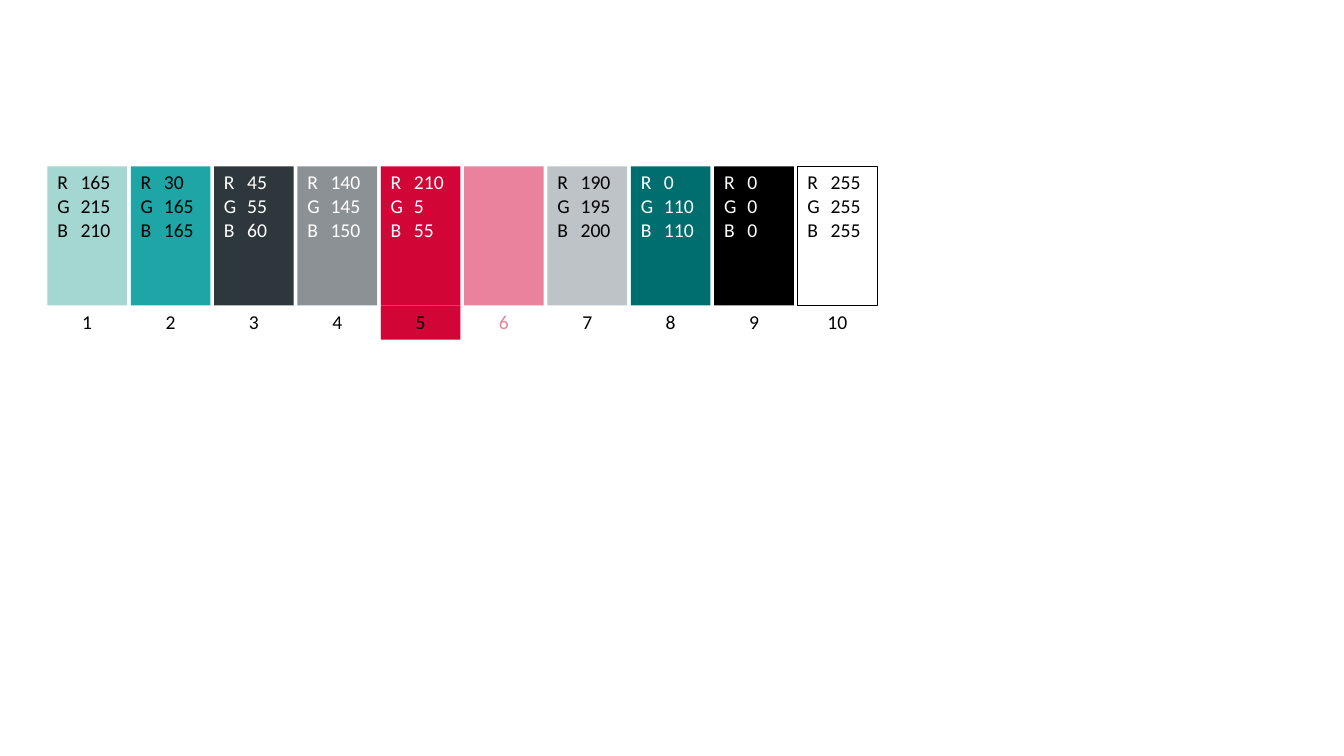
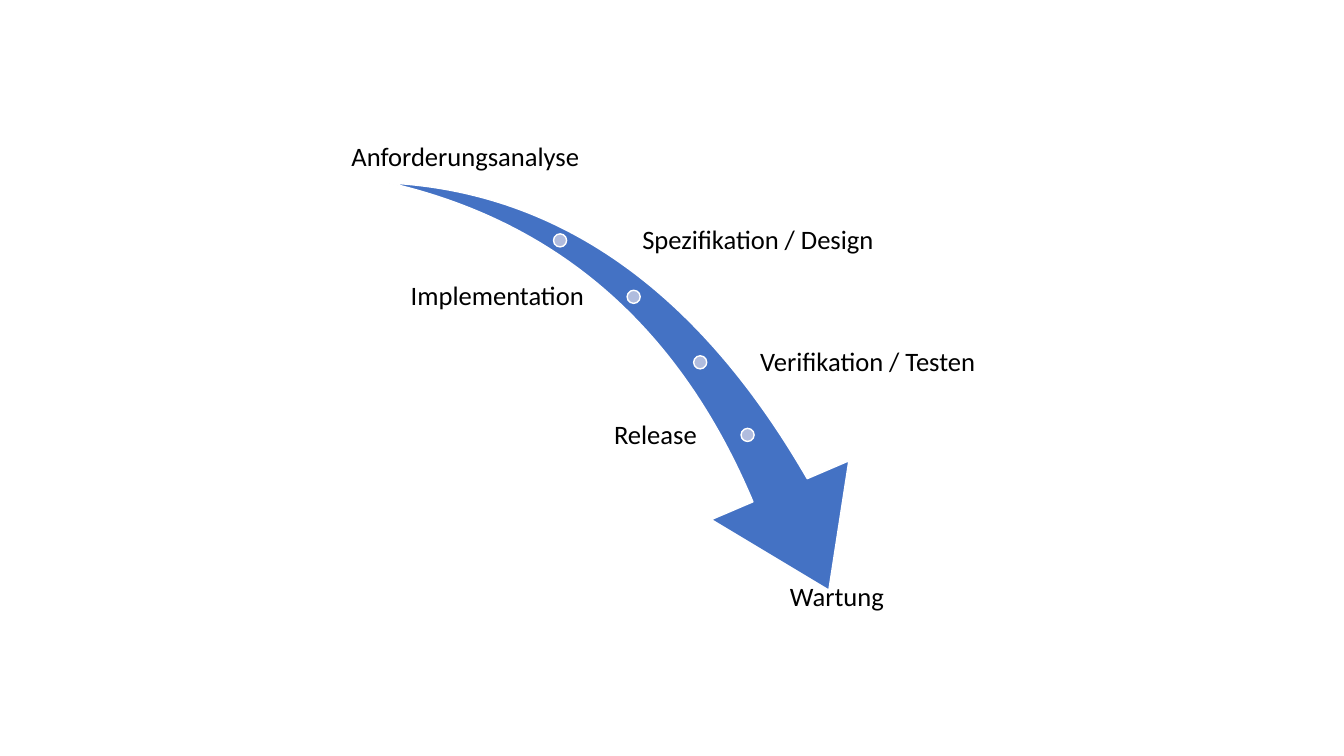
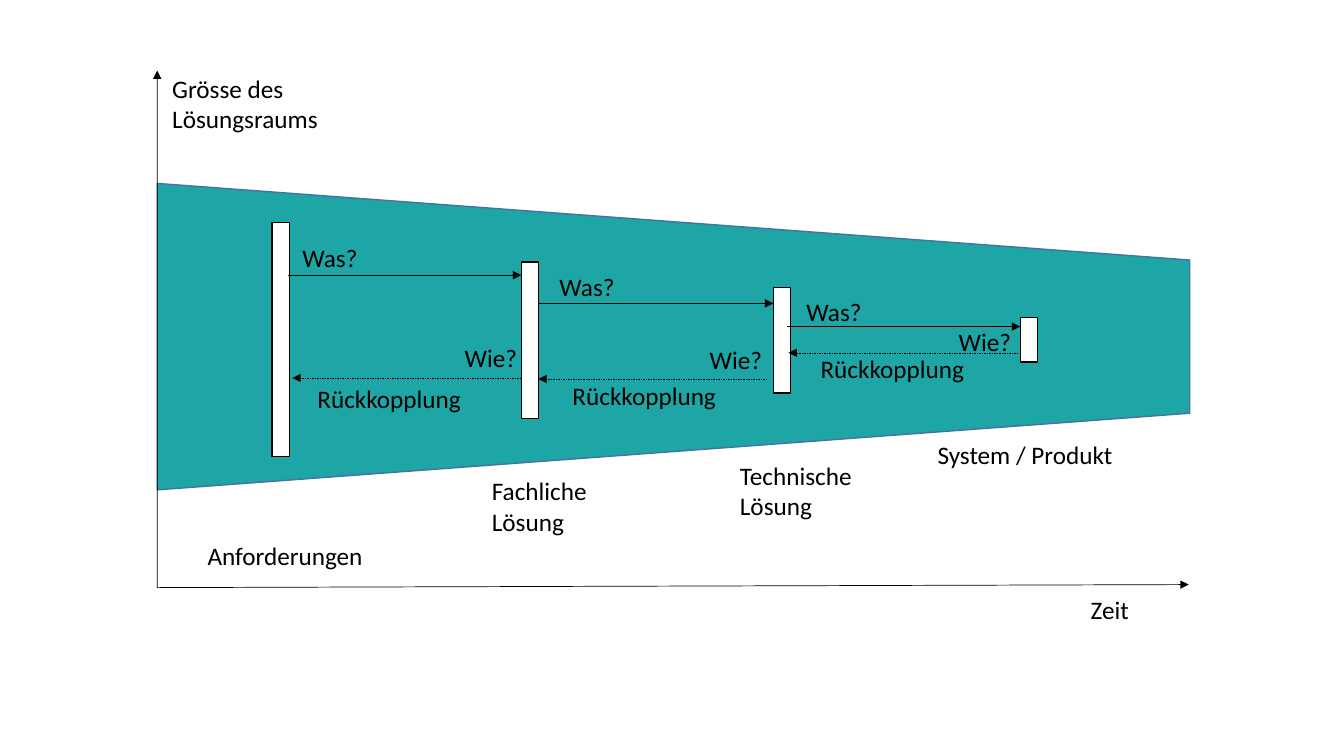
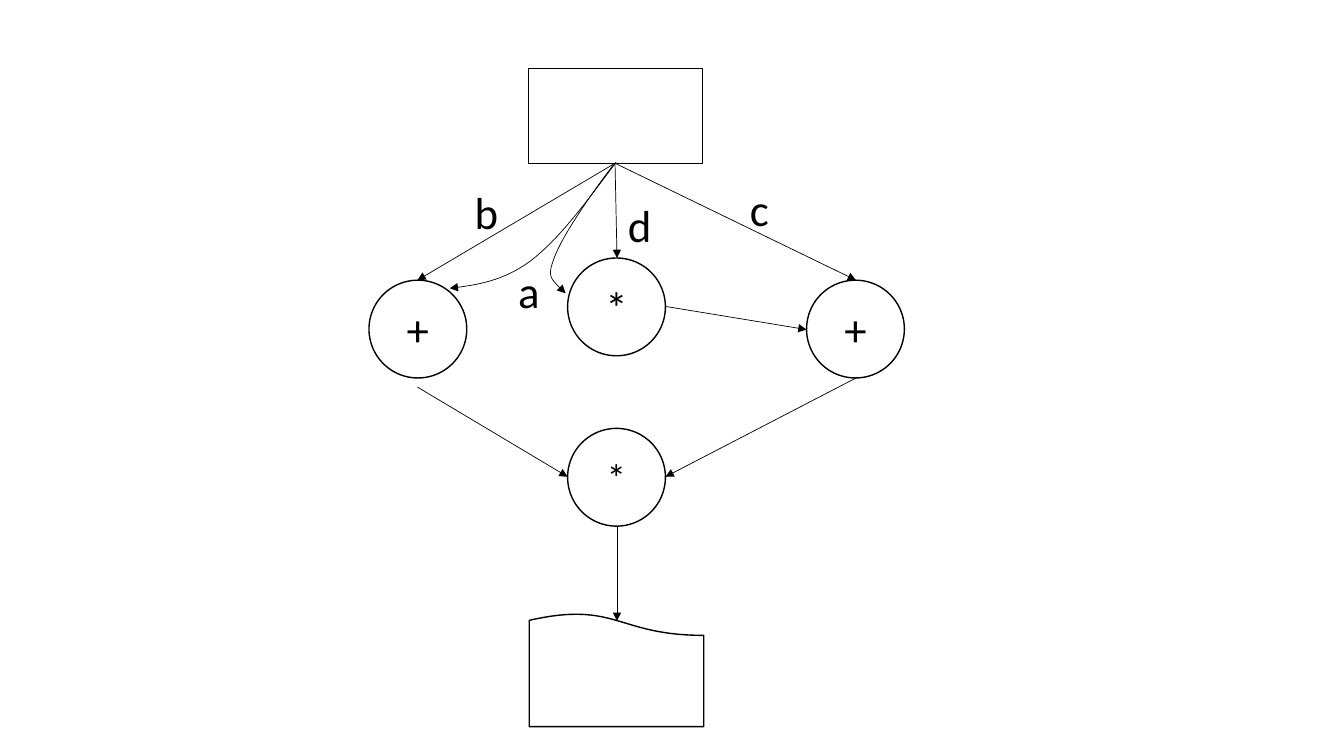
from lxml.etree import SubElement
from pptx import Presentation
from pptx.dml.color import RGBColor
from pptx.enum.dml import MSO_LINE
from pptx.enum.shapes import MSO_CONNECTOR, MSO_SHAPE
from pptx.enum.text import MSO_ANCHOR, PP_ALIGN
from pptx.oxml.ns import qn
from pptx.util import Inches, Pt

FONT = "Calibri"
BLACK, WHITE = "000000", "FFFFFF"
TEAL, RED, PINK = "1EA5A5", "D20537", "EB829B"
BLUE, PALE_BLUE, TRAPEZOID_EDGE = "4472C4", "B0BCDE", "43739E"


def rgb(value):
    return RGBColor.from_string(value)


def set_all(target, values):
    for name, value in values.items():
        setattr(target, name, value)


def inches(values):
    return [Inches(value) for value in values]


def paint(shape, fill=None, edge=None, width=1):
    """Set fill and line; None means there is none."""
    shape.shadow.inherit = False
    if fill:
        shape.fill.solid()
        shape.fill.fore_color.rgb = rgb(fill)
    else:
        shape.fill.background()
    if edge:
        shape.line.color.rgb = rgb(edge)
        shape.line.width = Pt(width)
    else:
        shape.line.fill.background()


def add_figure(page, kind, box, fill=None, edge=None, width=1):
    shape = page.shapes.add_shape(kind, *inches(box))
    paint(shape, fill, edge, width)
    return shape


def write(shape, text, size, color=BLACK, align=PP_ALIGN.LEFT, anchor=MSO_ANCHOR.TOP,
          insets=(0.1, 0.05, 0.1, 0.05), spacing=None, tab=None):
    """Fill a shape with text, one paragraph a line."""
    frame = shape.text_frame
    left, top, right, bottom = inches(insets)
    set_all(frame, {"word_wrap": True, "vertical_anchor": anchor, "margin_left": left,
                    "margin_top": top, "margin_right": right, "margin_bottom": bottom})
    for index, line in enumerate(text.split("\n")):
        para = frame.add_paragraph() if index else frame.paragraphs[0]
        set_all(para, {"alignment": align, "line_spacing": spacing})
        if tab:
            stops = SubElement(para._p.get_or_add_pPr(), qn("a:tabLst"))
            SubElement(stops, qn("a:tab"), pos=str(Inches(tab)), algn="l")
        span = para.add_run()
        span.text = line
        set_all(span.font, {"name": FONT, "size": Pt(size)})
        span.font.color.rgb = rgb(color)


def add_label(page, box, text, size, **layout):
    write(page.shapes.add_textbox(*inches(box)), text, size, **layout)


def add_arrowheads(shape, ends=("tailEnd",)):
    for end in ends:
        SubElement(shape.line._get_or_add_ln(), qn(f"a:{end}"), type="triangle")


def add_arrow(page, start, end, width, dash=None):
    arrow = page.shapes.add_connector(MSO_CONNECTOR.STRAIGHT, *inches(start + end))
    set_all(arrow.line, {"width": Pt(width), "dash_style": dash})
    arrow.line.color.rgb = rgb(BLACK)
    SubElement(arrow._element.spPr, qn("a:effectLst"))
    add_arrowheads(arrow)


def add_path_arrow(page, points, ends=("tailEnd",)):
    start, *rest = [tuple(inches(point)) for point in points]
    builder = page.shapes.build_freeform(*start)
    builder.add_line_segments(rest, close=False)
    shape = builder.convert_to_shape()
    paint(shape, edge=BLACK, width=0.5)
    add_arrowheads(shape, ends)


def curve(points, steps=16):
    """Sample a chain of cubic Bezier curves given as anchor, control, control, anchor, ..."""
    samples = [points[0]]
    for first in range(0, len(points) - 1, 3):
        quad = points[first:first + 4]
        for step in range(1, steps + 1):
            t = step / steps
            weights = ((1 - t) ** 3, 3 * t * (1 - t) ** 2, 3 * t * t * (1 - t), t ** 3)
            samples.append(tuple(sum(w * point[axis] for w, point in zip(weights, quad))
                                 for axis in (0, 1)))
    return samples


def build_palette(page):
    swatches = [("A5D7D2", BLACK), (TEAL, BLACK), ("2D373C", WHITE), ("8C9196", WHITE),
                (RED, WHITE), (PINK, None), ("BEC3C8", BLACK), ("006E6E", WHITE),
                (BLACK, WHITE), (WHITE, BLACK)]
    first, last, top, width, height = 0.47, 7.91, 1.65, 0.79, 1.38
    pitch = (last - first) / (len(swatches) - 1)
    for index, (fill, ink) in enumerate(swatches):
        left = first + index * pitch
        swatch = add_figure(page, MSO_SHAPE.RECTANGLE, (left, top, width, height), fill,
                            BLACK if fill == WHITE else None, 0.25)
        if ink:
            parts = "\n".join(f"{name}\t{part}" for name, part in zip("RGB", rgb(fill)))
            write(swatch, parts, 14, ink, insets=(0.1, 0.04, 0, 0), tab=0.23)
        number = add_figure(page, MSO_SHAPE.RECTANGLE, (left, top + height, width, 0.34),
                            RED if fill == RED else None)
        write(number, str(index + 1), 14, PINK if fill == PINK else BLACK, PP_ALIGN.CENTER)


def build_phases(page):
    swoosh = add_figure(page, MSO_SHAPE.SWOOSH_ARROW, (3.75, 1.97, 5.12, 3.57), BLUE, WHITE)
    swoosh.rotation = 73.3
    swoosh.adjustments[0], swoosh.adjustments[1] = 0.163, 0.314
    for left, top in [(5.49, 2.32), (6.22, 2.88), (6.88, 3.53), (7.35, 4.25)]:
        add_figure(page, MSO_SHAPE.OVAL, (left, top, 0.13, 0.13), PALE_BLUE, WHITE)
    for left, top, width, text, align, anchor in [
        (3.41, 0.79, 2.41, "Anforderungsanalyse", PP_ALIGN.CENTER, MSO_ANCHOR.BOTTOM),
        (6.34, 1.91, 3.59, "Spezifikation / Design", PP_ALIGN.LEFT, MSO_ANCHOR.MIDDLE),
        (3.41, 2.47, 2.41, "Implementation", PP_ALIGN.RIGHT, MSO_ANCHOR.MIDDLE),
        (7.51, 3.12, 2.41, "Verifikation / Testen", PP_ALIGN.LEFT, MSO_ANCHOR.MIDDLE),
        (3.41, 3.85, 3.59, "Release ", PP_ALIGN.RIGHT, MSO_ANCHOR.MIDDLE),
        (6.67, 5.76, 3.26, "Wartung", PP_ALIGN.CENTER, MSO_ANCHOR.TOP),
    ]:
        add_label(page, (left, top, width, 0.95), text, 19, align=align, anchor=anchor,
                  insets=(0.03,) * 4, spacing=0.9)


def build_solution_space(page):
    funnel = add_figure(page, MSO_SHAPE.TRAPEZOID, (5.16, -1.78, 3.04, 10.24), TEAL,
                        TRAPEZOID_EDGE)
    funnel.rotation = 90
    add_path_arrow(page, [(1.56, 0.7), (1.56, 5.83), (11.79, 5.8)], ("headEnd", "tailEnd"))
    for left, top, height in [(2.7, 2.21, 2.32), (5.17, 2.6, 1.55),
                              (7.67, 2.85, 1.05), (10.12, 3.15, 0.44)]:
        add_figure(page, MSO_SHAPE.RECTANGLE, (left, top, 0.17, height), WHITE, BLACK)
    for start, end, height in [(2.86, 5.17, 2.73), (5.34, 7.67, 3.01), (7.81, 10.12, 3.24)]:
        add_arrow(page, (start, height), (end, height), 0.25)
    for start, end, height in [(5.17, 2.9, 3.75), (7.61, 5.34, 3.76), (10.1, 7.82, 3.5)]:
        add_arrow(page, (start, height), (end, height), 0.25, MSO_LINE.DASH)
    for text, width, places in [
        ("Zeit", 1.14, [(10.72, 5.85)]),
        ("Grösse des Lösungsraums", 1.77, [(1.61, 0.68)]),
        ("Anforderungen", 2.18, [(1.96, 5.31)]),
        ("Fachliche\nLösung", 2.18, [(4.78, 4.67)]),
        ("Technische\nLösung", 2.18, [(7.24, 4.52)]),
        ("System / Produkt", 2.18, [(9.2, 4.31)]),
        ("Was?", 0.95, [(2.9, 2.35), (5.45, 2.64), (7.9, 2.89)]),
        ("Wie?", 0.95, [(4.51, 3.35), (6.94, 3.37), (9.41, 3.19)]),
        ("Rückkopplung", 1.86, [(3.05, 3.75), (5.58, 3.72), (8.04, 3.46)]),
    ]:
        for left, top in places:
            add_label(page, (left, top, width, 0.4), text, 18)


def build_data_flow(page):
    add_figure(page, MSO_SHAPE.RECTANGLE, (5.24, 0.68, 1.73, 0.94), WHITE, BLACK)
    result = add_figure(page, MSO_SHAPE.FLOWCHART_DOCUMENT, (5.25, 6.08, 1.73, 1.13),
                        WHITE, BLACK)
    result._element.spPr.xfrm.set("flipV", "1")
    for left, top, sign, size in [(3.66, 2.78, "+", 32), (5.63, 2.56, "*", 32),
                                  (8, 2.78, "+", 32), (5.63, 4.25, "*", 28)]:
        node = add_figure(page, MSO_SHAPE.OVAL, (left, top, 0.97, 0.97), WHITE, BLACK)
        write(node, sign, size, align=PP_ALIGN.CENTER, anchor=MSO_ANCHOR.MIDDLE)
    source = (6.1, 1.62)
    for start, end in [(source, (8.49, 2.78)), (source, (6.12, 2.56)), (source, (4.14, 2.78)),
                       ((6.6, 3.04), (8, 3.27)), ((4.14, 3.84), (5.63, 4.73)),
                       ((8.49, 3.75), (6.6, 4.73)), ((6.12, 5.22), (6.12, 6.16))]:
        add_arrow(page, start, end, 0.5)
    for points in [
        [(6.11, 1.61), (5.82, 2), (5.54, 2.38), (5.26, 2.59),
         (4.99, 2.79), (4.72, 2.83), (4.46, 2.86)],
        [(6.08, 1.64), (5.83, 1.97), (5.58, 2.34), (5.5, 2.55),
         (5.42, 2.76), (5.46, 2.76), (5.61, 2.91)],
    ]:
        add_path_arrow(page, curve(points))
    for left, top, name in [(7.34, 1.75, "c"), (6.13, 1.91, "d"),
                            (5.04, 2.57, "a"), (4.61, 1.78, "b")]:
        add_label(page, (left, top, 0.4, 0.64), name, 32)


def main():
    deck = Presentation()
    set_all(deck, {"slide_width": Inches(13.33), "slide_height": Inches(7.5)})
    blank = deck.slide_layouts[6]
    for build in (build_palette, build_phases, build_solution_space, build_data_flow):
        build(deck.slides.add_slide(blank))
    deck.save("out.pptx")


if __name__ == "__main__":
    main()
